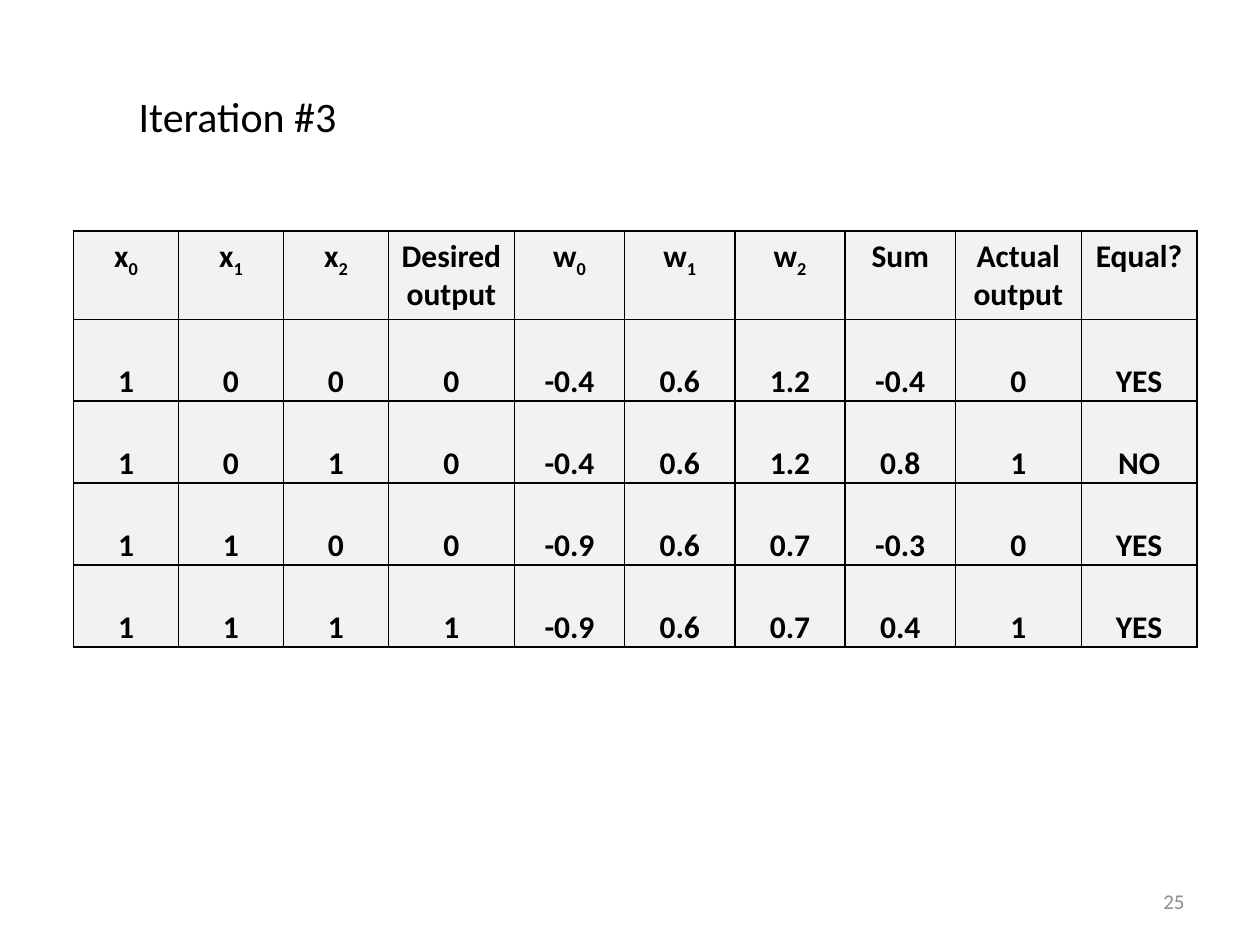
from dataclasses import dataclass

from lxml import etree
from pptx import Presentation
from pptx.dml.color import RGBColor
from pptx.enum.text import MSO_ANCHOR, MSO_AUTO_SIZE, PP_ALIGN
from pptx.oxml.ns import qn
from pptx.util import Pt

LEFT, CENTER, RIGHT = PP_ALIGN.LEFT, PP_ALIGN.CENTER, PP_ALIGN.RIGHT
TOP, MIDDLE, BOTTOM = MSO_ANCHOR.TOP, MSO_ANCHOR.MIDDLE, MSO_ANCHOR.BOTTOM
FIT_SHAPE = MSO_AUTO_SIZE.SHAPE_TO_FIT_TEXT
TITLE_ONLY = 5


@dataclass(frozen=True)
class Theme:
    font: str = "Calibri"
    ink: RGBColor = RGBColor(0, 0, 0)
    muted: RGBColor = RGBColor(0x8C, 0x8C, 0x8C)
    cell: RGBColor = RGBColor(0xF2, 0xF2, 0xF2)
    title_size: int = 24
    table_size: int = 18
    number_size: int = 12
    border: int = 1


THEME = Theme()

# A header is its text and its subscript
HEADERS = [("x", "0"), ("x", "1"), ("x", "2"), ("Desired output", ""),
           ("w", "0"), ("w", "1"), ("w", "2"), ("Sum", ""),
           ("Actual output", ""), ("Equal?", "")]
STEPS = [
    "1 0 0 0 -0.4 0.6 1.2 -0.4 0 YES",
    "1 0 1 0 -0.4 0.6 1.2 0.8 1 NO",
    "1 1 0 0 -0.9 0.6 0.7 -0.3 0 YES",
    "1 1 1 1 -0.9 0.6 0.7 0.4 1 YES",
]
COLUMN_WIDTHS = [60] * 3 + [72] + [63] * 4 + [72, 66]
ROW_HEIGHT = 46.8


def format_paragraph(paragraph, size, color, align, bold=False):
    paragraph.alignment = align
    font = paragraph.font
    font.name, font.size, font.bold = THEME.font, Pt(size), bold
    font.color.rgb = color


def add_title(slide, text):
    title = slide.shapes.title
    title.left, title.top, title.width, title.height = Pt(72), Pt(48), Pt(134), Pt(36)
    frame = title.text_frame
    frame.text = text
    frame.word_wrap = False
    frame.auto_size = FIT_SHAPE
    frame.vertical_anchor = TOP
    format_paragraph(frame.paragraphs[0], THEME.title_size, THEME.ink, LEFT)


def add_slide_number(slide, number):
    box = slide.shapes.add_textbox(Pt(516), Pt(500.5), Pt(168), Pt(28.75))
    frame = box.text_frame
    frame.text = number
    frame.word_wrap = True
    frame.vertical_anchor = MIDDLE
    format_paragraph(frame.paragraphs[0], THEME.number_size, THEME.muted, RIGHT)


def set_borders(cell):
    properties = cell._tc.get_or_add_tcPr()
    for position, side in enumerate(("lnL", "lnR", "lnT", "lnB")):
        line = etree.Element(qn(f"a:{side}"), w=str(Pt(THEME.border)))
        fill = etree.SubElement(line, qn("a:solidFill"))
        etree.SubElement(fill, qn("a:srgbClr"), val=str(THEME.ink))
        properties.insert(position, line)


def fill_cell(cell, text, subscript=""):
    cell.fill.solid()
    cell.fill.fore_color.rgb = THEME.cell
    set_borders(cell)
    paragraph = cell.text_frame.paragraphs[0]
    paragraph.add_run().text = text
    if subscript:
        run = paragraph.add_run()
        run.text = subscript
        run._r.get_or_add_rPr().set("baseline", "-25000")
    format_paragraph(paragraph, THEME.table_size, THEME.ink, CENTER, bold=True)


def add_iteration_table(slide):
    rows, columns = len(STEPS) + 1, len(HEADERS)
    table = slide.shapes.add_table(
        rows, columns, Pt(42), Pt(132),
        Pt(sum(COLUMN_WIDTHS)), Pt(ROW_HEIGHT * rows)).table
    table.first_row = table.horz_banding = False
    for column, width in zip(table.columns, COLUMN_WIDTHS):
        column.width = Pt(width)
    for row in table.rows:
        row.height = Pt(ROW_HEIGHT)

    for column, (text, subscript) in enumerate(HEADERS):
        fill_cell(table.cell(0, column), text, subscript)

    for row, step in enumerate(STEPS, start=1):
        for column, value in enumerate(step.split()):
            cell = table.cell(row, column)
            fill_cell(cell, value)
            cell.vertical_anchor = BOTTOM
            cell.margin_left = cell.margin_right = cell.margin_top = Pt(0.75)
            cell.margin_bottom = Pt(0)


def main():
    presentation = Presentation()
    presentation.slide_width, presentation.slide_height = Pt(720), Pt(540)
    slide = presentation.slides.add_slide(presentation.slide_layouts[TITLE_ONLY])

    # Heading, table of training steps, page number
    add_title(slide, "Iteration #3")
    add_iteration_table(slide)
    add_slide_number(slide, "25")

    presentation.save("out.pptx")


if __name__ == "__main__":
    main()
